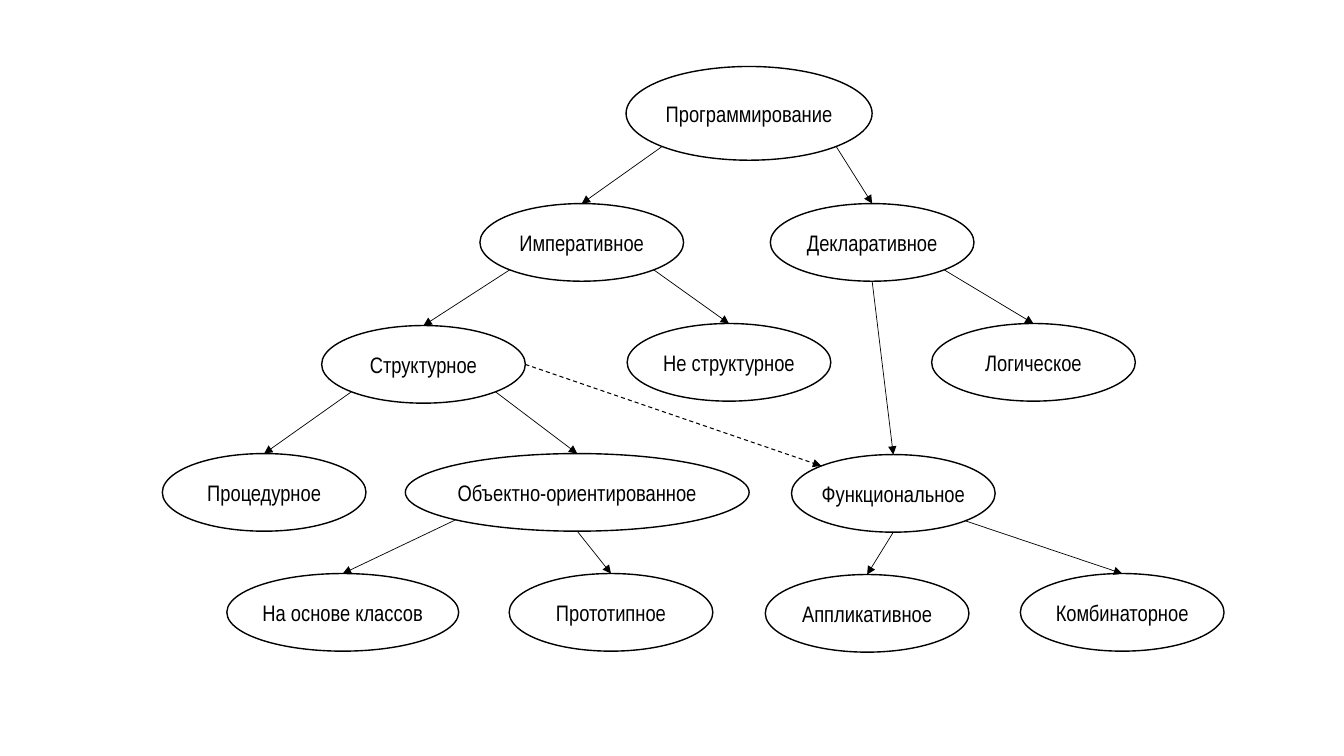
import pptx
import pptx.util
import pptx.dml.color
import pptx.enum.dml
import pptx.enum.shapes
import pptx.enum.text
import pptx.oxml.ns
from lxml import etree

Inches = pptx.util.Inches
Pt = pptx.util.Pt

SITES = {
    "top": (0, -0.5), "bottom": (0, 0.5), "right": (0.5, 0),
    "top left": (-0.354, -0.354),
    "low left": (-0.354, 0.354), "low right": (0.354, 0.354),
}

WIDE = 2.02
NODES = [
    ("Программирование", 6.21, 0.66, 2.44, 0.93),
    ("Декларативное", 7.64, 2.02, WIDE),
    ("Императивное", 4.76, 2.02, WIDE),
    ("Логическое", 9.24, 3.21, WIDE),
    ("Функциональное", 7.85, 4.51, WIDE),
    ("Аппликативное", 7.59, 5.7, WIDE),
    ("Комбинаторное", 10.12, 5.69, WIDE),
    ("Структурное", 3.19, 3.23, WIDE),
    ("Процедурное", 1.61, 4.5, WIDE),
    ("Объектно-ориентированное", 4.02, 4.5, 3.41),
    ("Не структурное", 6.22, 3.21, WIDE),
    ("На основе классов", 2.25, 5.69, 2.3),
    ("Прототипное", 5.05, 5.69, WIDE),
]

LINKS = [
    ("Программирование", "low left", "Императивное"),
    ("Императивное", "low left", "Структурное"),
    ("Императивное", "low right", "Не структурное"),
    ("Программирование", "low right", "Декларативное"),
    ("Декларативное", "low right", "Логическое"),
    ("Декларативное", "bottom", "Функциональное"),
    ("Функциональное", "low right", "Комбинаторное"),
    ("Функциональное", "bottom", "Аппликативное"),
    ("Структурное", "low left", "Процедурное"),
    ("Структурное", "low right", "Объектно-ориентированное"),
    ("Объектно-ориентированное", "low left", "На основе классов"),
    ("Объектно-ориентированное", "bottom", "Прототипное"),
]


def color(text):
    return pptx.dml.color.RGBColor.from_string(text)


def apply(item, style):
    for key, value in style.items():
        setattr(item, key, value)


class Chart:
    ink = "000000"
    paper = "FFFFFF"
    font = {"name": "Arial Narrow", "size": Pt(16)}
    frame = {
        "margin_left": 0, "margin_right": 0,
        "margin_top": 0, "margin_bottom": 0,
        "word_wrap": True,
        "vertical_anchor": pptx.enum.text.MSO_ANCHOR.MIDDLE,
    }

    def __init__(self, slide):
        self.slide = slide
        self.nodes = {}

    def stroke(self, line, width):
        line.width = Pt(width)
        line.color.rgb = color(self.ink)

    def node(self, label, left, top, width, height=0.77):
        oval = self.slide.shapes.add_shape(
            pptx.enum.shapes.MSO_SHAPE.OVAL,
            Inches(left), Inches(top), Inches(width), Inches(height))
        oval.shadow.inherit = False
        oval.fill.solid()
        oval.fill.fore_color.rgb = color(self.paper)
        self.stroke(oval.line, 1)
        apply(oval.text_frame, self.frame)
        para = oval.text_frame.paragraphs[0]
        para.alignment = pptx.enum.text.PP_ALIGN.CENTER
        run = para.add_run()
        run.text = label
        apply(run.font, self.font)
        run.font.color.rgb = color(self.ink)
        self.nodes[label] = oval

    def site(self, label, side):
        oval = self.nodes[label]
        across, down = SITES[side]
        return (int(oval.left + oval.width * (0.5 + across)),
                int(oval.top + oval.height * (0.5 + down)))

    def link(self, start, side, end, target="top", width=0.5, dash=None):
        arrow = self.slide.shapes.add_connector(
            pptx.enum.shapes.MSO_CONNECTOR.STRAIGHT,
            *self.site(start, side), *self.site(end, target))
        self.stroke(arrow.line, width)
        if dash:
            arrow.line.dash_style = dash
        name = pptx.oxml.ns.qn
        props = arrow._element.spPr
        etree.SubElement(props.find(name("a:ln")), name("a:tailEnd"), type="triangle")
        etree.SubElement(props, name("a:effectLst"))


def main():
    deck = pptx.Presentation()
    apply(deck, {"slide_width": Inches(13.33), "slide_height": Inches(7.5)})
    chart = Chart(deck.slides.add_slide(deck.slide_layouts[6]))
    for node in NODES:
        chart.node(*node)
    for link in LINKS:
        chart.link(*link)
    chart.link("Структурное", "right", "Функциональное", "top left",
               0.75, pptx.enum.dml.MSO_LINE.DASH)
    deck.save("out.pptx")


if __name__ == "__main__":
    main()
